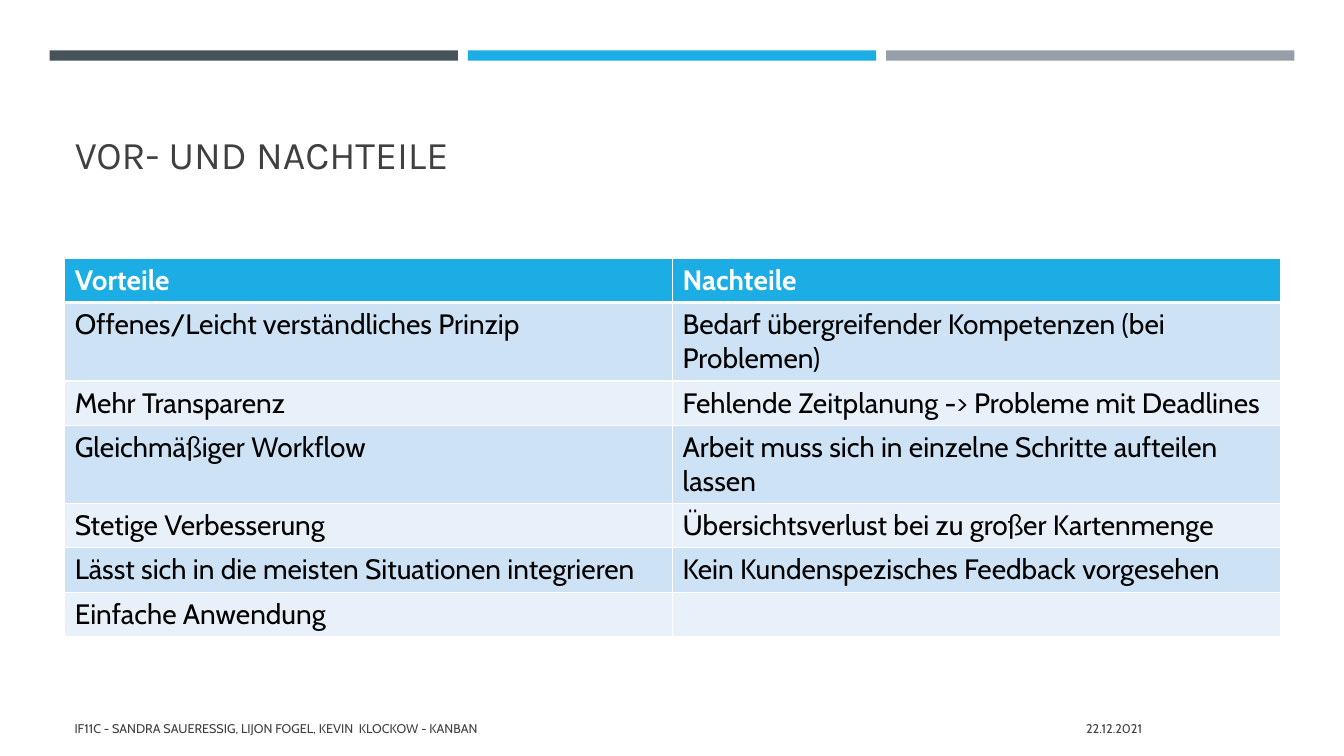
from lxml.etree import SubElement
from pptx import Presentation
from pptx.dml.color import RGBColor
from pptx.enum.shapes import MSO_SHAPE as Shape
from pptx.enum.text import MSO_ANCHOR as Anchor, PP_ALIGN as Align
from pptx.oxml.ns import qn
from pptx.util import Cm, Pt

COLORS = {
    "slate": "465359",
    "blue": "1CADE4",
    "gray": "969FA7",
    "text": "404040",
    "black": "000000",
    "white": "FFFFFF",
    "band_dark": "CDE3F5",
    "band_light": "E8F1FA",
}
HEADING_FONT, BODY_FONT = "Karla", "Cabin"
LEFT, WIDTH = 1.63, 30.64
ROWS = [
    ("Vorteile", "Nachteile"),
    ("Offenes/Leicht verständliches Prinzip",
     "Bedarf übergreifender Kompetenzen (bei Problemen)"),
    ("Mehr Transparenz", "Fehlende Zeitplanung -> Probleme mit Deadlines"),
    ("Gleichmäßiger Workflow",
     "Arbeit muss sich in einzelne Schritte aufteilen lassen"),
    ("Stetige Verbesserung", "Übersichtsverlust bei zu großer Kartenmenge"),
    ("Lässt sich in die meisten Situationen integrieren",
     "Kein Kundenspezisches Feedback vorgesehen"),
    ("Einfache Anwendung", ""),
]


def color(name):
    return RGBColor.from_string(COLORS[name])


def write(frame, text, size, color_name, font=BODY_FONT, bold=False, align=Align.LEFT):
    frame.text = text
    paragraph = frame.paragraphs[0]
    paragraph.alignment = align
    paragraph.font.name = font
    paragraph.font.size = Pt(size)
    paragraph.font.bold = bold
    paragraph.font.color.rgb = color(color_name)


def add_bar(slide, index, color_name):
    bar = slide.shapes.add_shape(
        Shape.RECTANGLE, Cm(1.25 + 10.54 * index), Cm(1.27), Cm(10.29), Cm(0.26))
    bar.shadow.inherit = False
    bar.fill.solid()
    bar.fill.fore_color.rgb = color(color_name)
    bar.line.fill.background()


def set_title(slide, text):
    title = slide.shapes.title
    title.left, title.top = Cm(LEFT), Cm(1.96)
    title.width, title.height = Cm(WIDTH), Cm(2.64)
    title.text_frame.vertical_anchor = Anchor.BOTTOM
    write(title.text_frame, text, 28, "text", HEADING_FONT)


def add_footer(slide, text, left, width, align):
    box = slide.shapes.add_textbox(Cm(left), Cm(17.86), Cm(width), Cm(1.01))
    frame = box.text_frame
    frame.word_wrap = True
    frame.vertical_anchor = Anchor.MIDDLE
    write(frame, text, 9, "text", align=align)


def set_borders(cell, top, bottom):
    properties = cell._tc.get_or_add_tcPr()
    for side, points in (("L", 1), ("R", 1), ("T", top), ("B", bottom)):
        line = SubElement(properties, qn(f"a:ln{side}"), w=str(Pt(points)))
        fill = SubElement(line, qn("a:solidFill"))
        SubElement(fill, qn("a:srgbClr"), val=COLORS["white"])


def add_comparison(slide, rows):
    table = slide.shapes.add_table(
        len(rows), 2, Cm(LEFT), Cm(6.51), Cm(WIDTH), Cm(1.03 * len(rows))).table
    for row_index, texts in enumerate(rows):
        header = row_index == 0
        band = "band_dark" if row_index % 2 else "band_light"
        for column_index, text in enumerate(texts):
            cell = table.cell(row_index, column_index)
            set_borders(cell, 3 if row_index == 1 else 1, 3 if header else 1)
            cell.fill.solid()
            cell.fill.fore_color.rgb = color("blue" if header else band)
            write(cell.text_frame, text, 20, "white" if header else "black", bold=header)


def main():
    presentation = Presentation()
    presentation.slide_width, presentation.slide_height = Cm(33.87), Cm(19.05)
    slide = presentation.slides.add_slide(presentation.slide_layouts[5])
    for index, color_name in enumerate(("slate", "blue", "gray")):
        add_bar(slide, index, color_name)
    set_title(slide, "VOR- UND NACHTEILE")
    add_comparison(slide, ROWS)
    add_footer(slide, "22.12.2021", 21.13, 7.9, Align.RIGHT)
    add_footer(slide, "IF11C - SANDRA SAUERESSIG, LIJON FOGEL, KEVIN  KLOCKOW - KANBAN",
               LEFT, 19.2, Align.LEFT)
    presentation.save("out.pptx")


if __name__ == "__main__":
    main()
